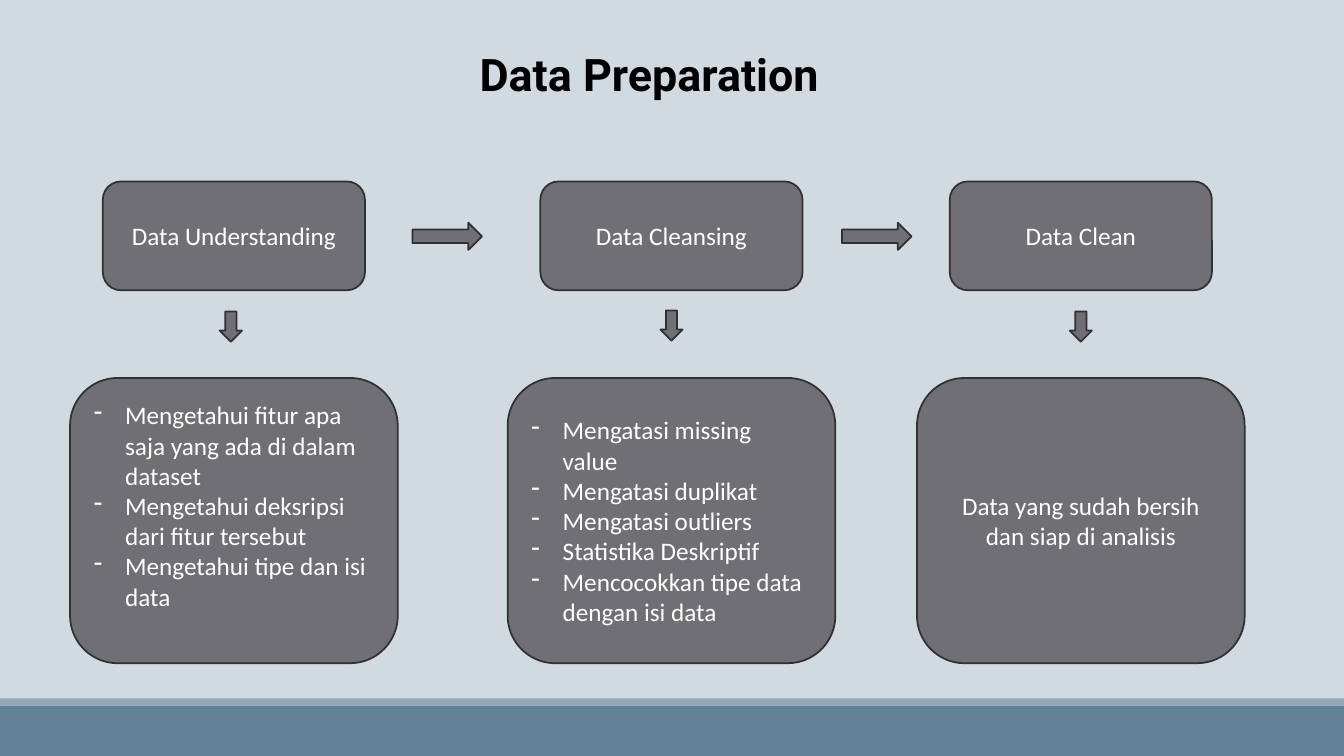
import pptx
import pptx.util
import pptx.dml.color
import pptx.enum.shapes
import pptx.enum.text
import lxml.etree
from pptx.util import Inches

SHAPE = pptx.enum.shapes.MSO_SHAPE
ALIGN = pptx.enum.text.PP_ALIGN
ANCHOR = pptx.enum.text.MSO_ANCHOR

BOX_FILL, BOX_LINE = "6F6F74", "313133"
BODY_FONT = {"name": "Calibri", "size": pptx.util.Pt(18), "bold": False}
TITLE_FONT = {"name": "Roboto", "size": pptx.util.Pt(32), "bold": True}

# Column centre, down arrow left and top, stage name, details, bulleted, bottom inset
STAGES = [
    (2.32, 2.18, 3.09, "Data Understanding", [
        "Mengetahui fitur apa saja yang ada di dalam dataset",
        "Mengetahui deksripsi dari fitur tersebut",
        "Mengetahui tipe dan isi data",
    ], True, 0.35),
    (6.66, 6.55, 3.08, "Data Cleansing", [
        "Mengatasi missing value",
        "Mengatasi duplikat",
        "Mengatasi outliers",
        "Statistika Deskriptif",
        "Mencocokkan tipe data dengan isi data",
    ], True, 0.05),
    (10.72, 10.61, 3.09, "Data Clean", [
        "Data yang sudah bersih dan siap di analisis",
    ], False, 0.05),
]
NEXT_ARROW_LEFTS = [4.09, 8.35]


def color(hex_value):
    return pptx.dml.color.RGBColor.from_string(hex_value)


def add_dash(paragraph):
    """Give the paragraph a hanging dash."""
    properties = paragraph._p.get_or_add_pPr()
    properties.set("marL", str(Inches(0.31)))
    properties.set("indent", str(-Inches(0.31)))
    dash = lxml.etree.SubElement(properties, pptx.oxml.ns.qn("a:buChar"))
    dash.set("char", "-")


def write(frame, lines, font_format, hex_color, bulleted=False):
    frame.word_wrap = True
    for index, line in enumerate(lines):
        paragraph = frame.paragraphs[0] if index == 0 else frame.add_paragraph()
        paragraph.alignment = ALIGN.LEFT if bulleted else ALIGN.CENTER
        if bulleted:
            add_dash(paragraph)
        run = paragraph.add_run()
        run.text = line
        for attribute, value in font_format.items():
            setattr(run.font, attribute, value)
        run.font.color.rgb = color(hex_color)


def add_block(slide, preset, left, top, width, height, fill=BOX_FILL, line=BOX_LINE):
    block = slide.shapes.add_shape(
        preset, Inches(left), Inches(top), Inches(width), Inches(height))
    block.shadow.inherit = False
    block.fill.solid()
    block.fill.fore_color.rgb = color(fill)
    if line:
        block.line.color.rgb = color(line)
        block.line.width = pptx.util.Pt(1.25)
    else:
        block.line.fill.background()
    return block


def add_text_block(slide, center, top, width, height, lines, bulleted=False, bottom=0.05):
    block = add_block(slide, SHAPE.ROUNDED_RECTANGLE, center - width / 2, top, width, height)
    frame = block.text_frame
    frame.vertical_anchor = ANCHOR.MIDDLE
    frame.margin_bottom = Inches(bottom)
    write(frame, lines, BODY_FONT, "FFFFFF", bulleted)


def add_title(slide, text):
    title = slide.shapes.add_textbox(Inches(1.5), Inches(0.41), Inches(9.88), Inches(0.64))
    write(title.text_frame, [text], TITLE_FONT, "000000")


def main():
    presentation = pptx.Presentation()
    presentation.slide_width = Inches(13.33)
    presentation.slide_height = Inches(7.5)
    slide = presentation.slides.add_slide(presentation.slide_layouts[6])
    slide.background.fill.solid()
    slide.background.fill.fore_color.rgb = color("D1D9E1")

    # Footer bands
    add_block(slide, SHAPE.RECTANGLE, 0, 7, 13.33, 0.5, "618197", None)
    add_block(slide, SHAPE.RECTANGLE, 0, 6.93, 13.33, 0.07, "92A9B9", None)

    add_title(slide, "Data Preparation")

    # Stages with their details below
    for center, arrow_left, arrow_top, stage, details, bulleted, bottom in STAGES:
        add_text_block(slide, center, 1.8, 2.6, 1.08, [stage])
        add_block(slide, SHAPE.DOWN_ARROW, arrow_left, arrow_top, 0.22, 0.3)
        add_text_block(slide, center, 3.75, 3.25, 2.83, details, bulleted, bottom)

    # Arrows from stage to stage
    for left in NEXT_ARROW_LEFTS:
        add_block(slide, SHAPE.RIGHT_ARROW, left, 2.21, 0.69, 0.27)

    presentation.save("out.pptx")


if __name__ == "__main__":
    main()
